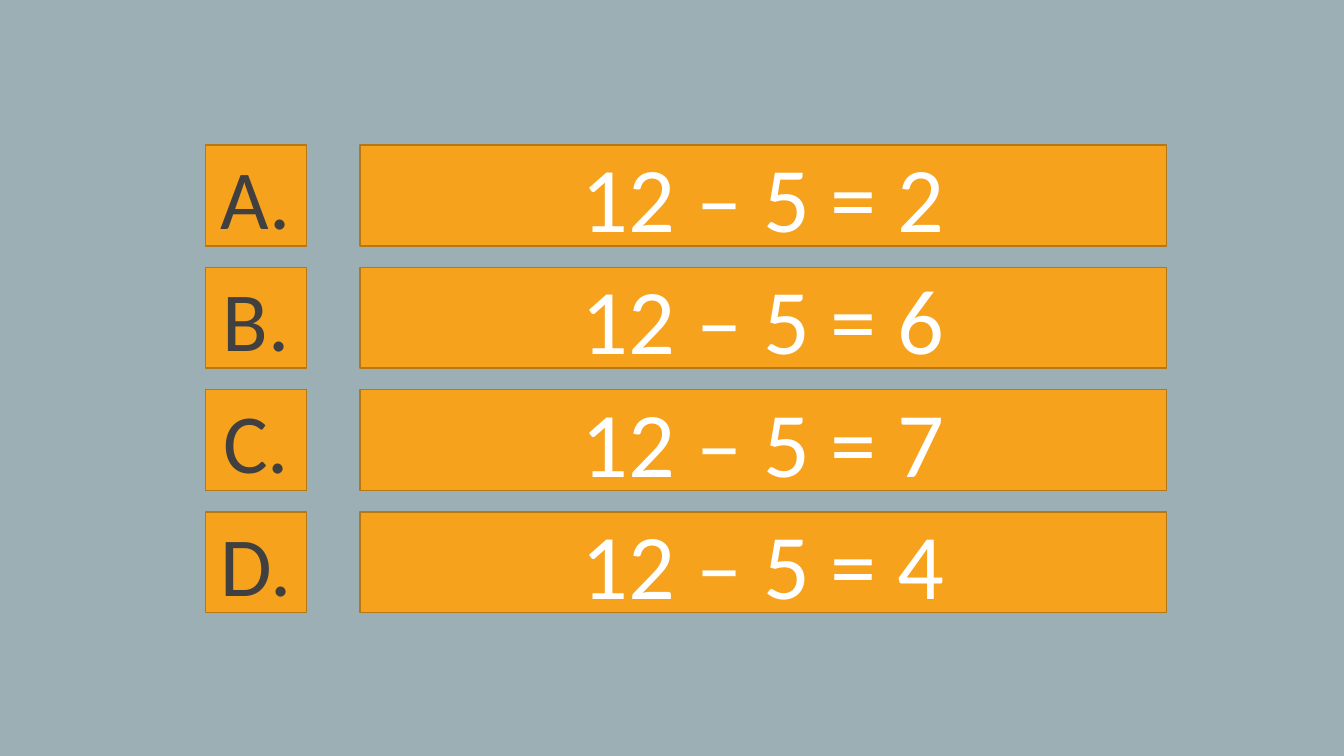
import pptx
import pptx.dml.color
import pptx.enum.shapes
import pptx.enum.text
import pptx.util

PX = 6096  # EMU per px, 150 px to the inch

THEME = {
    "background": pptx.dml.color.RGBColor.from_string("9BAFB5"),
    "box": pptx.dml.color.RGBColor.from_string("F6A21D"),
    "border": pptx.dml.color.RGBColor.from_string("B67815"),
    "letter": pptx.dml.color.RGBColor.from_string("404040"),
    "answer": pptx.dml.color.RGBColor.from_string("FFFFFF"),
    "font": "Calibri",
    "letter_size": pptx.util.Pt(60),
    "answer_size": pptx.util.Pt(66),
    "border_width": pptx.util.Pt(1),
}

# Layout of the answer grid
FIRST_TOP, ROW_STEP, BOX_HEIGHT = 216, 182, 150
LETTER_LEFT, LETTER_WIDTH = 306, 150
ANSWER_LEFT, ANSWER_WIDTH = 536, 1200

ANSWERS = [
    ("A.", "12 – 5 = 2"),
    ("B.", "12 – 5 = 6"),
    ("C.", "12 – 5 = 7"),
    ("D.", "12 – 5 = 4"),
]


def add_box(slide, left, top, width, text, role):
    shape = slide.shapes.add_shape(
        pptx.enum.shapes.MSO_SHAPE.RECTANGLE,
        left * PX, top * PX, width * PX, BOX_HEIGHT * PX)
    shape.shadow.inherit = False
    shape.fill.solid()
    shape.fill.fore_color.rgb = THEME["box"]
    shape.line.color.rgb = THEME["border"]
    shape.line.width = THEME["border_width"]
    shape.text_frame.vertical_anchor = pptx.enum.text.MSO_ANCHOR.MIDDLE
    paragraph = shape.text_frame.paragraphs[0]
    paragraph.text = text
    paragraph.alignment = pptx.enum.text.PP_ALIGN.CENTER
    paragraph.font.name = THEME["font"]
    paragraph.font.size = THEME[role + "_size"]
    paragraph.font.color.rgb = THEME[role]


# Slide and background
presentation = pptx.Presentation()
presentation.slide_width = 2000 * PX
presentation.slide_height = 1125 * PX
slide = presentation.slides.add_slide(presentation.slide_layouts[6])
slide.background.fill.solid()
slide.background.fill.fore_color.rgb = THEME["background"]

# One letter and one answer per row
for row, (letter, answer) in enumerate(ANSWERS):
    top = FIRST_TOP + row * ROW_STEP
    add_box(slide, LETTER_LEFT, top, LETTER_WIDTH, letter, "letter")
    add_box(slide, ANSWER_LEFT, top, ANSWER_WIDTH, answer, "answer")

presentation.save("out.pptx")
